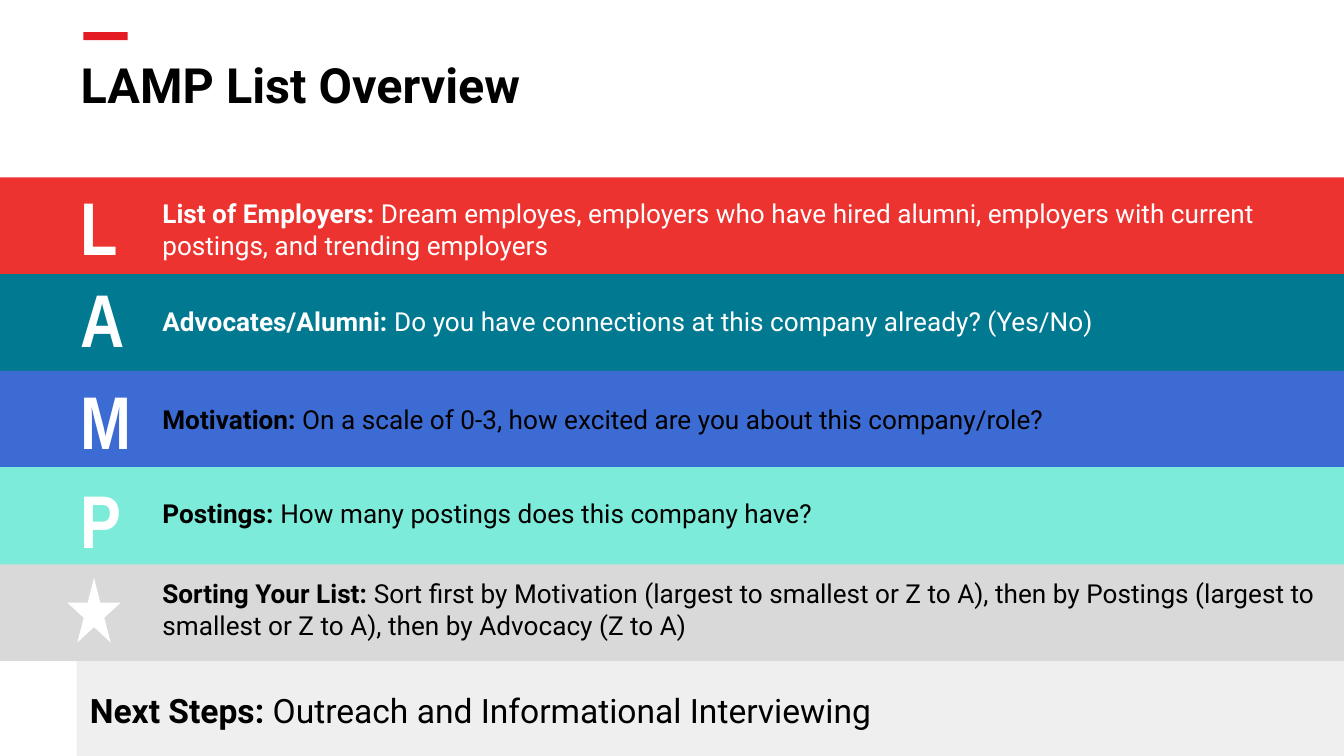
from dataclasses import dataclass

from pptx import Presentation
from pptx.dml.color import RGBColor
from pptx.enum.shapes import MSO_SHAPE
from pptx.enum.text import MSO_ANCHOR, MSO_AUTO_SIZE, PP_ALIGN
from pptx.util import Inches, Pt


@dataclass(frozen=True)
class Theme:
    font: str = "Roboto"
    letter_font: str = "Arial Narrow"
    title_size: int = 26
    letter_size: int = 40
    body_size: int = 14
    footer_size: int = 18
    black: str = "000000"
    white: str = "FFFFFF"
    accent: str = "E51B24"
    red: str = "ED332F"
    teal: str = "017991"
    blue: str = "3D6BD4"
    mint: str = "7DEBD9"
    grey: str = "D9D9D9"
    pale: str = "EFEFEF"


@dataclass(frozen=True)
class Row:
    letter: str
    letter_top: float
    fill: str
    text_top: float
    color: str
    label: str
    detail: str


THEME = Theme()
PAGE_WIDTH = 10
BAND_TOP = 1.32
BAND_HEIGHT = 0.72
ROWS = [
    Row("L", 1.24, THEME.red, 1.37, THEME.white, "List of Employers: ",
        "Dream employes, employers who have hired alumni, employers with "
        "current postings, and trending employers"),
    Row("A", 1.92, THEME.teal, 2.17, THEME.white, "Advocates/Alumni: ",
        "Do you have connections at this company already? (Yes/No)"),
    Row("M", 2.68, THEME.blue, 2.9, THEME.black, "Motivation: ",
        "On a scale of 0-3, how excited are you about this company/role?"),
    Row("P", 3.42, THEME.mint, 3.6, THEME.black, "Postings: ",
        "How many postings does this company have?"),
    Row("", 4.3, THEME.grey, 4.2, THEME.black, "Sorting Your List: ",
        "Sort first by Motivation (largest to smallest or Z to A), then by "
        "Postings (largest to smallest or Z to A), then by Advocacy (Z to A)"),
]


def set_frame(shape, anchor):
    frame = shape.text_frame
    frame.word_wrap = True
    frame.auto_size = MSO_AUTO_SIZE.NONE
    frame.vertical_anchor = anchor
    frame.margin_left = frame.margin_right = Inches(0.1)
    frame.margin_top = frame.margin_bottom = Inches(0.1)
    return frame


def write(shape, spans, size, color, font=THEME.font, anchor=MSO_ANCHOR.TOP):
    para = set_frame(shape, anchor).paragraphs[0]
    para.alignment = PP_ALIGN.LEFT
    para.font.name = font
    para.font.size = Pt(size)
    para.font.color.rgb = RGBColor.from_string(color)
    for text, bold in spans:
        span = para.add_run()
        span.text = text
        span.font.bold = bold


def add_block(page, left, top, width, height, fill, kind=MSO_SHAPE.RECTANGLE):
    block = page.shapes.add_shape(
        kind, Inches(left), Inches(top), Inches(width), Inches(height))
    block.shadow.inherit = False
    block.fill.solid()
    block.fill.fore_color.rgb = RGBColor.from_string(fill)
    block.line.fill.background()
    return block


def add_box(page, left, top, width, height):
    return page.shapes.add_textbox(
        Inches(left), Inches(top), Inches(width), Inches(height))


def add_title(page, text):
    title = page.shapes.title
    title.left, title.top = Inches(0.5), Inches(0.31)
    title.width, title.height = Inches(9), Inches(0.63)
    write(title, [(text, True)], THEME.title_size, THEME.black)


def add_row_text(page, row):
    box = add_box(page, 1.11, row.text_top, 8.87, 0.67)
    write(box, [(row.label, True), (row.detail, False)],
          THEME.body_size, row.color)


def add_marker(page, row):
    if row.letter:
        box = add_box(page, 0.5, row.letter_top, 0.4, 0.88)
        write(box, [(row.letter, True)], THEME.letter_size, THEME.white,
              THEME.letter_font, MSO_ANCHOR.MIDDLE)
    else:
        add_block(page, 0.5, row.letter_top, 0.4, 0.48, THEME.white,
                  MSO_SHAPE.STAR_5_POINT)


def main():
    deck = Presentation()
    deck.slide_width = Inches(PAGE_WIDTH)
    deck.slide_height = Inches(PAGE_WIDTH * 9 / 16)
    page = deck.slides.add_slide(deck.slide_layouts[5])
    add_block(page, 0.62, 0.24, 0.33, 0.06, THEME.accent)
    add_title(page, "LAMP List Overview")
    for index, row in enumerate(ROWS):
        top = BAND_TOP + index * BAND_HEIGHT
        band = add_block(page, 0, top, PAGE_WIDTH, BAND_HEIGHT, row.fill)
        if row.fill == THEME.mint:
            band.line.color.rgb = RGBColor.from_string(THEME.mint)
            band.line.width = Pt(0.75)
    for row in ROWS:
        add_row_text(page, row)
        add_marker(page, row)
    footer_top = BAND_TOP + len(ROWS) * BAND_HEIGHT
    footer = add_block(page, 0.57, footer_top, 9.43, BAND_HEIGHT, THEME.pale)
    write(footer, [("Next Steps:", True),
                   (" Outreach and Informational Interviewing", False)],
          THEME.footer_size, THEME.black, anchor=MSO_ANCHOR.MIDDLE)
    deck.save("out.pptx")


if __name__ == "__main__":
    main()
